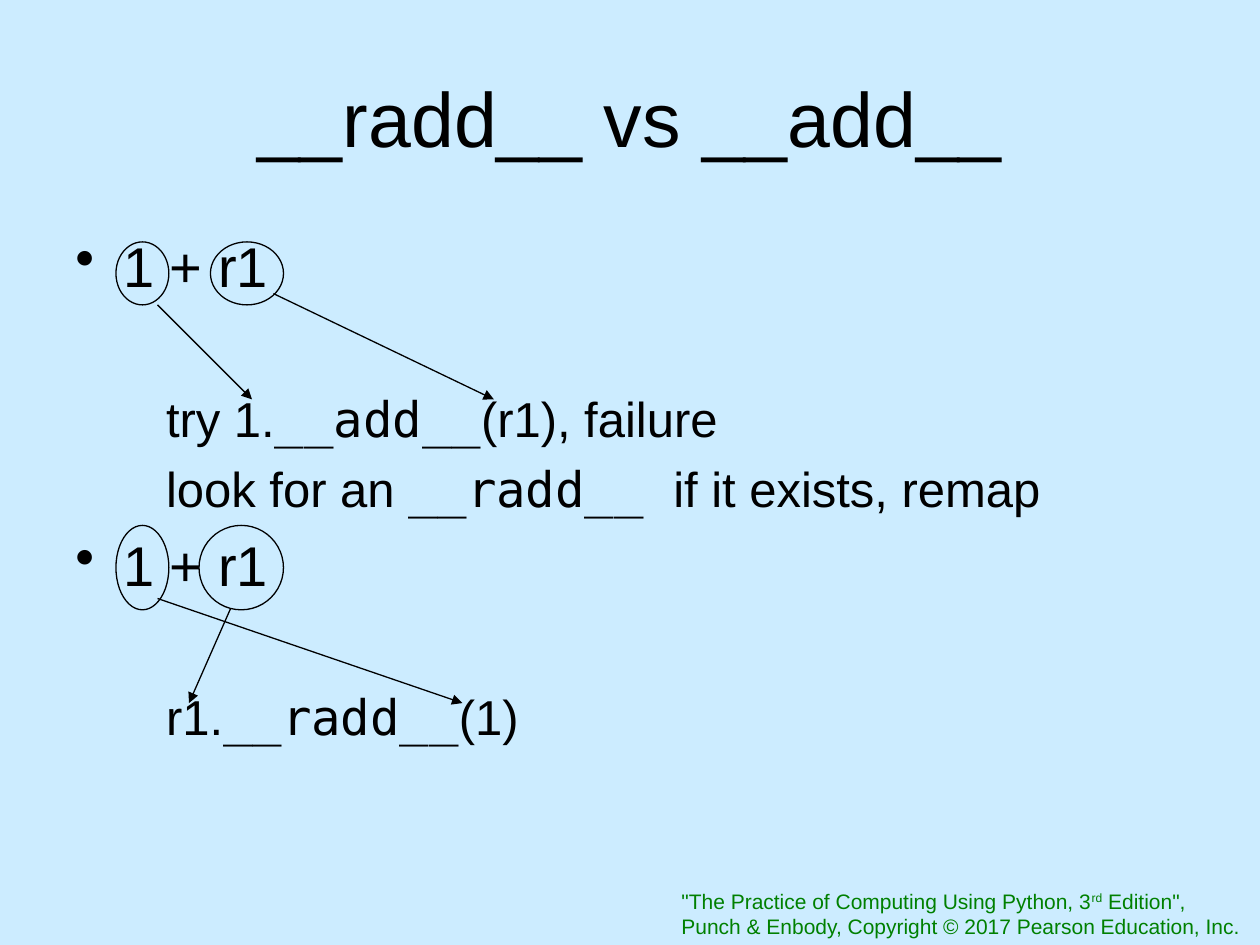
from lxml.etree import SubElement
from pptx import Presentation
from pptx.dml.color import RGBColor
from pptx.enum.shapes import MSO_CONNECTOR, MSO_SHAPE
from pptx.enum.text import MSO_ANCHOR, PP_ALIGN
from pptx.oxml.ns import qn
from pptx.util import Inches, Pt

SANS, MONO = "Arial", "DejaVu Sans Mono"
INK, GREEN, SKY = "000000", "008000", "CCECFF"


def paint(value):
    return RGBColor.from_string(value)


def add_text(slide, box, lines, size=32, color=INK, align=PP_ALIGN.LEFT,
             anchor=MSO_ANCHOR.TOP, wrap=True):
    """Each line is (runs, format); each run is (text, font, baseline)."""
    frame = slide.shapes.add_textbox(*map(Inches, box)).text_frame
    frame.word_wrap = wrap
    frame.vertical_anchor = anchor
    for i, (runs, form) in enumerate(lines):
        para = frame.paragraphs[0] if i == 0 else frame.add_paragraph()
        para.alignment = align
        para.space_before = Pt(form.get("before", 0))
        props = para._p.get_or_add_pPr()
        props.set("marL", str(Inches(form.get("left", 0))))
        props.set("indent", str(Inches(form.get("hang", 0))))
        if "bullet" in form:
            SubElement(props, qn("a:buChar"), char=form["bullet"])
        for text, face, base in runs:
            run = para.add_run()
            run.text = text
            run.font.name = face
            run.font.size = Pt(form.get("size", size))
            run.font.color.rgb = paint(color)
            if base:
                run.font._element.set("baseline", str(base * 1000))


def plain(text):
    return (text, SANS, 0)


def code(text):
    return (text, MONO, 0)


def add_oval(slide, box):
    oval = slide.shapes.add_shape(MSO_SHAPE.OVAL, *map(Inches, box))
    oval.shadow.inherit = False
    oval.fill.background()
    oval.line.color.rgb = paint(INK)
    oval.line.width = Pt(0.75)


def add_arrow(slide, start, end):
    arrow = slide.shapes.add_connector(
        MSO_CONNECTOR.STRAIGHT, *map(Inches, start + end))
    arrow.line.color.rgb = paint(INK)
    arrow.line.width = Pt(0.75)
    SubElement(arrow.line._get_or_add_ln(), qn("a:tailEnd"), type="triangle")
    SubElement(arrow._element.spPr, qn("a:effectLst"))


def add_title(slide, box):
    add_text(slide, box, [([plain("__radd__ vs __add__")], {})], size=44,
             align=PP_ALIGN.CENTER, anchor=MSO_ANCHOR.MIDDLE)


def add_body(slide, box):
    point = {"left": 0.38, "hang": -0.38, "bullet": "•"}
    step = {"left": 0.72, "size": 28, "before": 6.5}
    result = {**step, "before": 51}  # leaves room for the arrows
    add_text(slide, box, [
        ([plain("1 + r1")], point),
        ([plain("try 1."), code("__add__"), plain("(r1), failure")], result),
        ([plain("look for an "), code("__radd__ "),
          plain("if it exists, remap")], step),
        ([plain("1 + r1")], {**point, "before": 7.5}),
        ([plain("r1."), code("__radd__"), plain("(1)")], result),
    ])


def add_mapping(slide, box, wide, arrows):
    """Circle both operands in the box and point to where each one goes."""
    left, top, width, height = box
    add_oval(slide, (left, top, 0.42, height))
    add_oval(slide, (left + width - wide, top, wide, height))
    for x1, y1, x2, y2 in arrows:
        add_arrow(slide, (left + x1, top + y1), (left + x2, top + y2))


def add_credit(slide, box):
    add_text(slide, box, [
        ([plain('"The Practice of Computing Using Python, 3'),
          ("rd", SANS, 30), plain(' Edition",')], {}),
        ([plain("Punch & Enbody, Copyright © 2017 Pearson Education, Inc.")],
         {}),
    ], size=12, color=GREEN, wrap=False)


def main():
    deck = Presentation()
    deck.slide_width, deck.slide_height = Inches(10), Inches(7.5)
    slide = deck.slides.add_slide(deck.slide_layouts[6])
    slide.background.fill.solid()
    slide.background.fill.fore_color.rgb = paint(SKY)

    add_credit(slide, (5.31, 7, 4.68, 0.5))
    add_title(slide, (0.5, 0.3, 9, 1.25))
    add_body(slide, (0.5, 1.79, 9, 4.91))
    # First try: operands keep their order
    add_mapping(slide, (0.92, 1.92, 1.33, 0.5), 0.58,
                [(0.33, 0.5, 1.08, 1.25), (1.25, 0.41, 3, 1.25)])
    # Remap: operands swap places
    add_mapping(slide, (0.92, 4.17, 1.33, 0.67), 0.67,
                [(0.91, 0.66, 0.58, 1.41), (0.33, 0.58, 2.75, 1.41)])
    deck.save("out.pptx")


if __name__ == "__main__":
    main()
